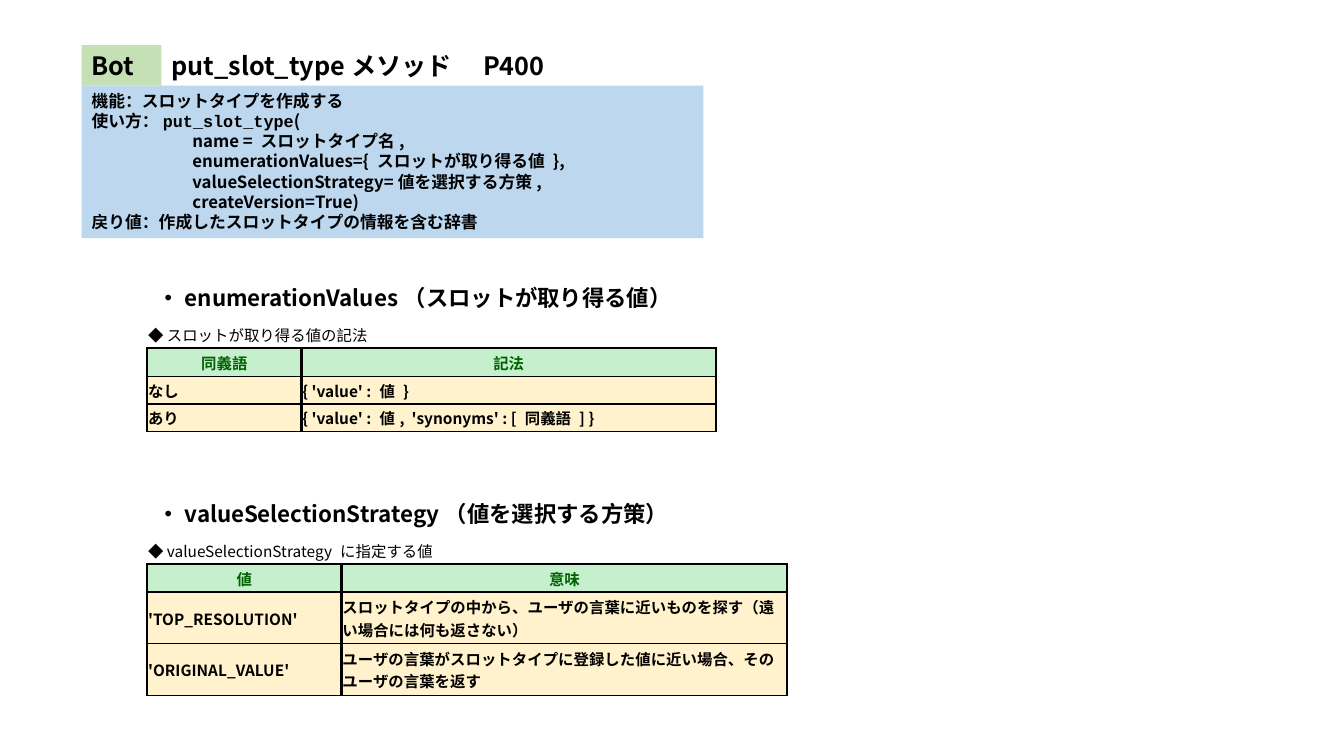
from dataclasses import dataclass

from lxml import etree
from pptx import Presentation
from pptx.dml.color import RGBColor
from pptx.enum.shapes import MSO_SHAPE
from pptx.enum.text import MSO_ANCHOR, MSO_AUTO_SIZE, PP_ALIGN
from pptx.oxml.ns import qn
from pptx.util import Cm, Pt

RECTANGLE = MSO_SHAPE.RECTANGLE
TOP, MIDDLE = MSO_ANCHOR.TOP, MSO_ANCHOR.MIDDLE
LEFT, CENTER = PP_ALIGN.LEFT, PP_ALIGN.CENTER
NO_FIT = MSO_AUTO_SIZE.NONE

# Content
SERVICE = "Bot"
TITLE = "put_slot_typeメソッド\u3000P400".replace("\u3000", "　")
METHOD = "put_slot_type"
# (indented, runs)
USAGE = [
    (False, ["機能：スロットタイプを作成する"]),
    (False, ["使い方：", METHOD, "("]),
    (True, ["name = スロットタイプ名,"]),
    (True, ["enumerationValues={ スロットが取り得る値 },"]),
    (True, ["valueSelectionStrategy=値を選択する方策,"]),
    (True, ["createVersion=True)"]),
    (False, ["戻り値：作成したスロットタイプの情報を含む辞書"]),
]
# Lengths in cm
SECTIONS = [
    {
        "heading": "・enumerationValues（スロットが取り得る値）",
        "top": 7.04,
        "caption": "◆ スロットが取り得る値の記法",
        "rows": [
            ("同義語", "記法"),
            ("なし", "{ 'value' : 値 }"),
            ("あり", "{ 'value' : 値,  'synonyms' : [ 同義語 ] }"),
        ],
        "widths": (3.89, 10.44),
        "body_height": 0.69,
    },
    {
        "heading": "・valueSelectionStrategy（値を選択する方策）",
        "top": 12.47,
        "caption": "◆ valueSelectionStrategy に指定する値",
        "rows": [
            ("値", "意味"),
            ("'TOP_RESOLUTION'",
             "スロットタイプの中から、ユーザの言葉に近いものを探す（遠い場合には何も返さない）"),
            ("'ORIGINAL_VALUE'",
             "ユーザの言葉がスロットタイプに登録した値に近い場合、そのユーザの言葉を返す"),
        ],
        "widths": (4.9, 11.23),
        "body_height": 1.3,
    },
]


@dataclass(frozen=True)
class Theme:
    font: str = "Noto Sans CJK JP"
    code_font: str = "Courier New"
    text: str = "000000"
    header_text: str = "006100"
    header_fill: str = "C6EFCE"
    body_fill: str = "FFF2CC"
    tag_fill: str = "C5E0B4"
    usage_fill: str = "BDD7EE"
    title_size: int = 18
    heading_size: int = 16
    usage_size: int = 12
    table_size: int = 11
    line_pitch: float = 1.2


THEME = Theme()
MARGIN, BANNER_TOP, BANNER_HEIGHT = 2.06, 1.14, 1.02
TAG_WIDTH, TITLE_WIDTH = 2.01, 15.47
USAGE_WIDTH, USAGE_HEIGHT, USAGE_INDENT = 15.67, 3.84, 2.54
SECTION_LEFT, HEADING_WIDTH, HEADING_HEIGHT = 3.71, 14.02, 0.94
TABLE_OFFSET, CAPTION_HEIGHT, HEADER_HEIGHT = 1.05, 0.69, 0.71
OUTER, INNER, RULE = 1.5, 2, 1


def style_run(r, size, color=THEME.text, bold=True):
    r.font.size, r.font.bold = Pt(size), bold
    r.font.color.rgb = RGBColor.from_string(color)
    r.font.name = THEME.code_font if r.text == METHOD else THEME.font
    east_asian = etree.Element(qn("a:ea"), typeface=THEME.font)
    r._r.rPr.find(qn("a:latin")).addnext(east_asian)


def write_lines(sp, lines, size):
    tf = sp.text_frame
    tf.word_wrap, tf.auto_size, tf.vertical_anchor = True, NO_FIT, TOP
    for i, (indented, runs) in enumerate(lines):
        p = tf.add_paragraph() if i else tf.paragraphs[0]
        p.alignment = LEFT
        p.line_spacing = Pt(size * THEME.line_pitch)
        if indented:
            p._p.get_or_add_pPr().set("marL", str(Cm(USAGE_INDENT)))
        for text in runs:
            r = p.add_run()
            r.text = text
            style_run(r, size)


def add_panel(s, box, fill, lines, size):
    sp = s.shapes.add_shape(RECTANGLE, *map(Cm, box))
    sp.shadow.inherit = False
    sp.fill.solid()
    sp.fill.fore_color.rgb = RGBColor.from_string(fill)
    sp.line.fill.background()
    write_lines(sp, lines, size)


def set_borders(cell, **widths):
    """Draw the given sides (L, R, T, B), widths in points."""
    tc_pr = cell._tc.get_or_add_tcPr()
    sides = [side for side in "LRTB" if side in widths]
    for i, side in enumerate(sides):
        ln = etree.Element(qn(f"a:ln{side}"), w=str(Pt(widths[side])))
        fill = etree.SubElement(ln, qn("a:solidFill"))
        etree.SubElement(fill, qn("a:srgbClr"), val=THEME.text)
        tc_pr.insert(i, ln)


def write_cell(cell, text, fill=None, color=THEME.text, bold=True, align=LEFT):
    cell.margin_left = cell.margin_right = cell.margin_top = Cm(0.02)
    cell.margin_bottom = 0
    cell.vertical_anchor = MIDDLE
    if fill:
        cell.fill.solid()
        cell.fill.fore_color.rgb = RGBColor.from_string(fill)
    else:
        cell.fill.background()
    cell.text_frame.text = text
    p = cell.text_frame.paragraphs[0]
    p.alignment = align
    for r in p.runs:
        style_run(r, THEME.table_size, color, bold)


def add_section_table(s, section):
    rows, widths = section["rows"], section["widths"]
    heights = [CAPTION_HEIGHT, HEADER_HEIGHT] + [section["body_height"]] * (len(rows) - 1)
    box = SECTION_LEFT, section["top"] + TABLE_OFFSET, sum(widths), sum(heights)
    table = s.shapes.add_table(len(heights), len(widths), *map(Cm, box)).table
    table.first_row = table.horz_banding = False
    for column, width in zip(table.columns, widths):
        column.width = Cm(width)
    for row, height in zip(table.rows, heights):
        row.height = Cm(height)

    caption = table.cell(0, 0)
    caption.merge(table.cell(0, len(widths) - 1))
    write_cell(caption, section["caption"], bold=False)
    for c in range(len(widths)):
        set_borders(table.cell(0, c), B=OUTER)

    for i, texts in enumerate(rows, 1):
        for c, text in enumerate(texts):
            cell = table.cell(i, c)
            if i == 1:
                write_cell(cell, text, THEME.header_fill, THEME.header_text, align=CENTER)
            else:
                write_cell(cell, text, THEME.body_fill)
            set_borders(cell, L=INNER if c else OUTER, R=OUTER if c else INNER,
                        T=OUTER if i == 1 else RULE, B=RULE)


def main():
    prs = Presentation()
    prs.slide_width, prs.slide_height = Cm(33.87), Cm(19.05)
    s = prs.slides.add_slide(prs.slide_layouts.get_by_name("Title Only"))

    add_panel(s, (MARGIN, BANNER_TOP, TAG_WIDTH, BANNER_HEIGHT),
              THEME.tag_fill, [(False, [SERVICE])], THEME.title_size)
    add_panel(s, (MARGIN, BANNER_TOP + BANNER_HEIGHT, USAGE_WIDTH, USAGE_HEIGHT),
              THEME.usage_fill, USAGE, THEME.usage_size)

    title = s.shapes.title
    title.left, title.top = Cm(MARGIN + TAG_WIDTH), Cm(BANNER_TOP)
    title.width, title.height = Cm(TITLE_WIDTH), Cm(BANNER_HEIGHT)
    write_lines(title, [(False, [TITLE])], THEME.title_size)

    for section in SECTIONS:
        box = SECTION_LEFT, section["top"], HEADING_WIDTH, HEADING_HEIGHT
        sp = s.shapes.add_textbox(*map(Cm, box))
        write_lines(sp, [(False, [section["heading"]])], THEME.heading_size)
        add_section_table(s, section)

    prs.save("out.pptx")


if __name__ == "__main__":
    main()
